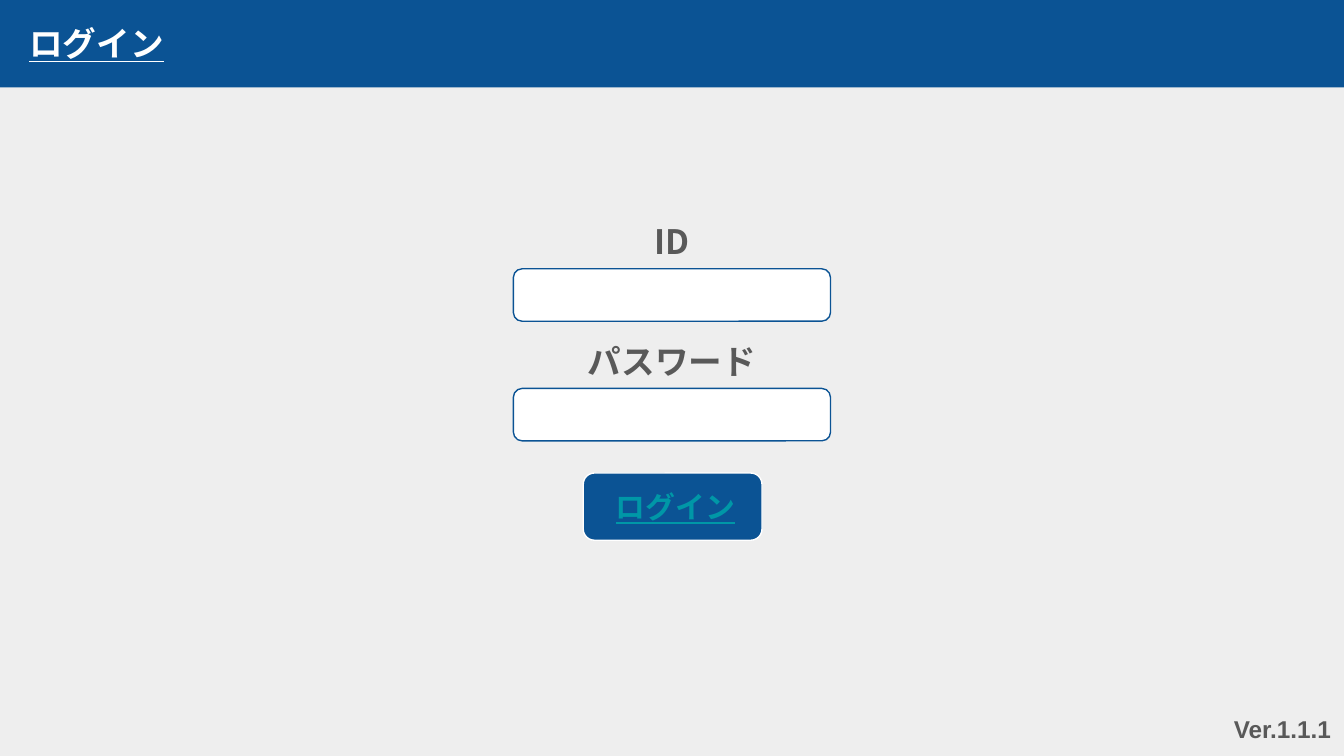
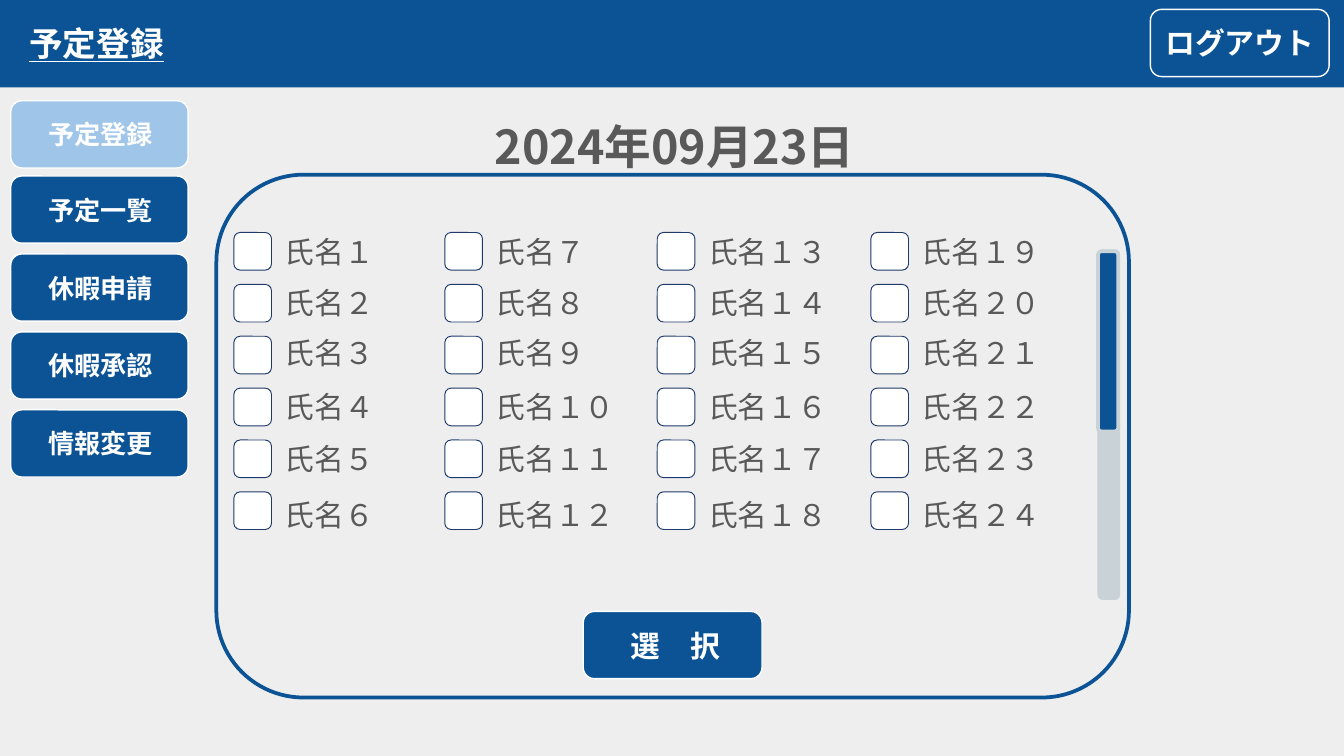
from dataclasses import dataclass
from itertools import product

from lxml import etree
from pptx import Presentation
from pptx import util as u
from pptx.dml.color import RGBColor
from pptx.enum import shapes, text
from pptx.oxml import ns
from pptx.slide import Slide


@dataclass(frozen=True)
class Theme:
    navy: str = "0B5394"
    pale_blue: str = "9FC5E8"
    checkbox_line: str = "1D3A6B"
    teal: str = "0097A7"
    track: str = "C9D3D7"
    page: str = "EEEEEE"
    white: str = "FFFFFF"
    ink: str = "595959"
    font: str = "Noto Sans CJK JP"
    version_font: str = "Arial"
    version_size: int = 13
    menu_size: int = 14
    body_size: int = 16
    title_size: int = 18
    date_size: int = 25


THEME = Theme()


@dataclass(frozen=True)
class Box:
    """Left, top, width and height in inches."""
    left: float
    top: float
    width: float
    height: float

    def lengths(self) -> tuple[u.Length, ...]:
        return tuple(u.Inches(value) for value in
                     (self.left, self.top, self.width, self.height))


@dataclass(frozen=True)
class Button:
    caption: str
    box: Box
    label_box: Box
    size: int = THEME.body_size
    fill: str = THEME.navy
    color: str = THEME.white
    underline: bool = False


@dataclass(frozen=True)
class Field:
    caption: str
    top: float


@dataclass(frozen=True)
class MenuItem:
    caption: str
    top: float
    fill: str = THEME.navy


SLIDE_WIDTH = u.Inches(10)
SLIDE_HEIGHT = SLIDE_WIDTH * 9 // 16

BUTTON_WIDTH, BUTTON_HEIGHT = 1.33, 0.5
FIELD_LEFT, FIELD_WIDTH, FIELD_HEIGHT = 3.82, 2.36, 0.39

FIELDS = (Field("ID", 1.6), Field("パスワード", 2.49))
MENU = (
    MenuItem("予定登録", 0.75, THEME.pale_blue),
    MenuItem("予定一覧", 1.31),
    MenuItem("休暇申請", 1.89),
    MenuItem("休暇承認", 2.47),
    MenuItem("情報変更", 3.05),
)

NAME_LEFTS = (1.74, 3.31, 4.89, 6.48)
NAME_TOPS = (1.69, 2.07, 2.44, 2.84, 3.23, 3.65)
CHECKBOX_TOP, CHECKBOX_PITCH, CHECKBOX_SIZE = 1.73, 1.93 / 5, 0.28
FULL_WIDTH_DIGITS = str.maketrans("0123456789", "０１２３４５６７８９")


def add_box(slide: Slide, box: Box, fill: str, line: str | None = None,
            line_width: float = 0.75, rounded: bool = True) -> None:
    kind = shapes.MSO_SHAPE.ROUNDED_RECTANGLE if rounded else shapes.MSO_SHAPE.RECTANGLE
    shape = slide.shapes.add_shape(kind, *box.lengths())
    shape.shadow.inherit = False
    shape.fill.solid()
    shape.fill.fore_color.rgb = RGBColor.from_string(fill)
    if line is None:
        shape.line.fill.background()
    else:
        shape.line.color.rgb = RGBColor.from_string(line)
        shape.line.width = u.Pt(line_width)


def add_text(slide: Slide, content: str, box: Box, *, size: int,
             color: str = THEME.ink, font: str = THEME.font, bold: bool = True,
             underline: bool = False,
             align: text.PP_ALIGN = text.PP_ALIGN.CENTER,
             anchor: text.MSO_ANCHOR = text.MSO_ANCHOR.MIDDLE,
             vertical_margin: float = 0.1) -> None:
    frame = slide.shapes.add_textbox(*box.lengths()).text_frame
    frame.word_wrap = True
    frame.vertical_anchor = anchor
    frame.margin_left = frame.margin_right = u.Inches(0.1)
    frame.margin_top = frame.margin_bottom = u.Inches(vertical_margin)
    paragraph = frame.paragraphs[0]
    paragraph.alignment = align
    run = paragraph.add_run()
    run.text = content
    run.font.size = u.Pt(size)
    run.font.bold = bold
    run.font.underline = underline
    run.font.color.rgb = RGBColor.from_string(color)
    run.font.name = font
    east_asian = etree.SubElement(run._r.get_or_add_rPr(), ns.qn("a:ea"))
    east_asian.set("typeface", font)


def add_button(slide: Slide, button: Button) -> None:
    add_box(slide, button.box, button.fill, THEME.white)
    add_text(slide, button.caption, button.label_box, size=button.size,
             color=button.color, underline=button.underline)


def centre_button(caption: str, top: float, color: str = THEME.white,
                  underline: bool = False) -> Button:
    return Button(caption, Box(4.34, top, BUTTON_WIDTH, BUTTON_HEIGHT),
                  Box(4.44, top, 1.17, BUTTON_HEIGHT),
                  color=color, underline=underline)


def add_screen(presentation: Presentation, title: str) -> Slide:
    """Add a slide with the page colour, the header band and its title."""
    slide = presentation.slides.add_slide(presentation.slide_layouts[6])
    slide.background.fill.solid()
    slide.background.fill.fore_color.rgb = RGBColor.from_string(THEME.page)
    add_box(slide, Box(0, 0, 10, 0.65), THEME.navy, rounded=False)
    add_text(slide, title, Box(0.12, 0.07, 3.14, 0.5), size=THEME.title_size,
             color=THEME.white, underline=True, align=text.PP_ALIGN.LEFT)
    return slide


def add_menu(slide: Slide) -> None:
    for item in MENU:
        add_button(slide, Button(
            item.caption, Box(0.08, item.top, 1.32, BUTTON_HEIGHT),
            Box(0.19, item.top, 1.12, BUTTON_HEIGHT),
            size=THEME.menu_size, fill=item.fill))


def add_name_list(slide: Slide) -> None:
    """Draw the names column by column, each after its checkbox."""
    positions = product(NAME_LEFTS, enumerate(NAME_TOPS))
    for number, (left, (row, name_top)) in enumerate(positions, start=1):
        top = CHECKBOX_TOP + row * CHECKBOX_PITCH
        add_box(slide, Box(left, top, CHECKBOX_SIZE, CHECKBOX_SIZE),
                THEME.white, THEME.checkbox_line, 0.5)
        add_text(slide, "氏名" + str(number).translate(FULL_WIDTH_DIGITS),
                 Box(left + CHECKBOX_SIZE, name_top, 1.5, 0.37),
                 size=THEME.body_size, bold=False, align=text.PP_ALIGN.LEFT,
                 anchor=text.MSO_ANCHOR.TOP, vertical_margin=0.05)


def build_login(presentation: Presentation) -> None:
    slide = add_screen(presentation, "ログイン")
    add_button(slide, centre_button("ログイン", 3.52, THEME.teal, True))
    for field in FIELDS:
        caption_box = Box(FIELD_LEFT, field.top, FIELD_WIDTH, FIELD_HEIGHT)
        input_box = Box(FIELD_LEFT, field.top + 0.4, FIELD_WIDTH, FIELD_HEIGHT)
        add_text(slide, field.caption, caption_box, size=THEME.title_size)
        add_box(slide, input_box, THEME.white, THEME.navy)
    add_text(slide, "Ver.1.1.1", Box(7.64, 5.23, 2.36, 0.39),
             size=THEME.version_size, font=THEME.version_font,
             align=text.PP_ALIGN.RIGHT)


def build_schedule(presentation: Presentation) -> None:
    slide = add_screen(presentation, "予定登録")
    logout_box = Box(8.56, 0.07, BUTTON_WIDTH, BUTTON_HEIGHT)
    add_button(slide, Button("ログアウト", logout_box, logout_box))
    add_menu(slide)
    add_text(slide, "2024年09月23日", Box(3.24, 0.89, 3.56, 0.39),
             size=THEME.date_size)
    add_box(slide, Box(1.61, 1.3, 6.79, 3.89), THEME.page, THEME.navy, 2)
    add_button(slide, centre_button("選　択", 4.55))
    add_box(slide, Box(8.18, 1.87, 0.14, 2.58), THEME.track, THEME.track, 2)
    add_box(slide, Box(8.17, 1.87, 0.15, 1.34), THEME.navy, THEME.track, 2)
    add_name_list(slide)


def main() -> None:
    presentation = Presentation()
    presentation.slide_width = SLIDE_WIDTH
    presentation.slide_height = SLIDE_HEIGHT
    build_login(presentation)
    build_schedule(presentation)
    presentation.save("out.pptx")


if __name__ == "__main__":
    main()
